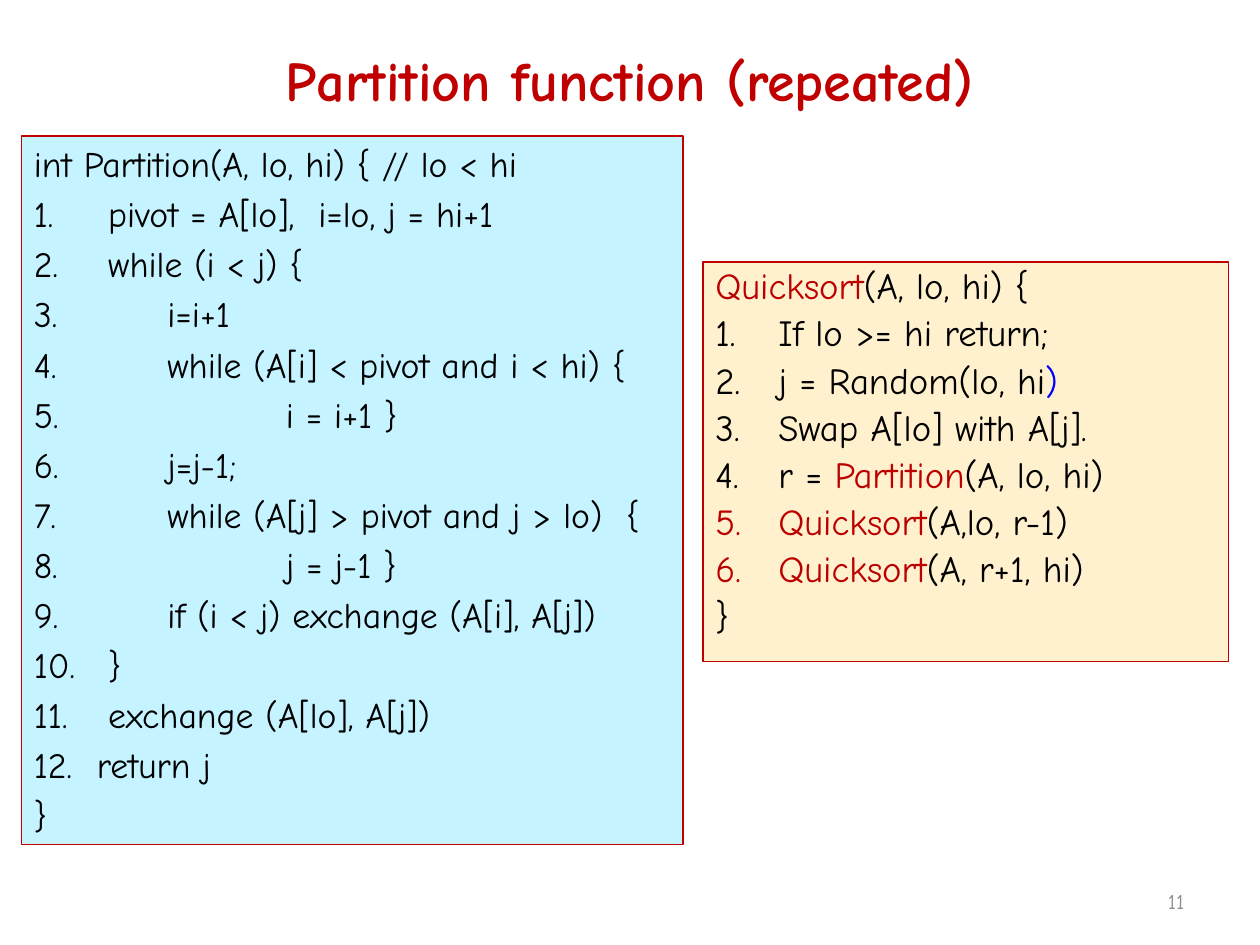
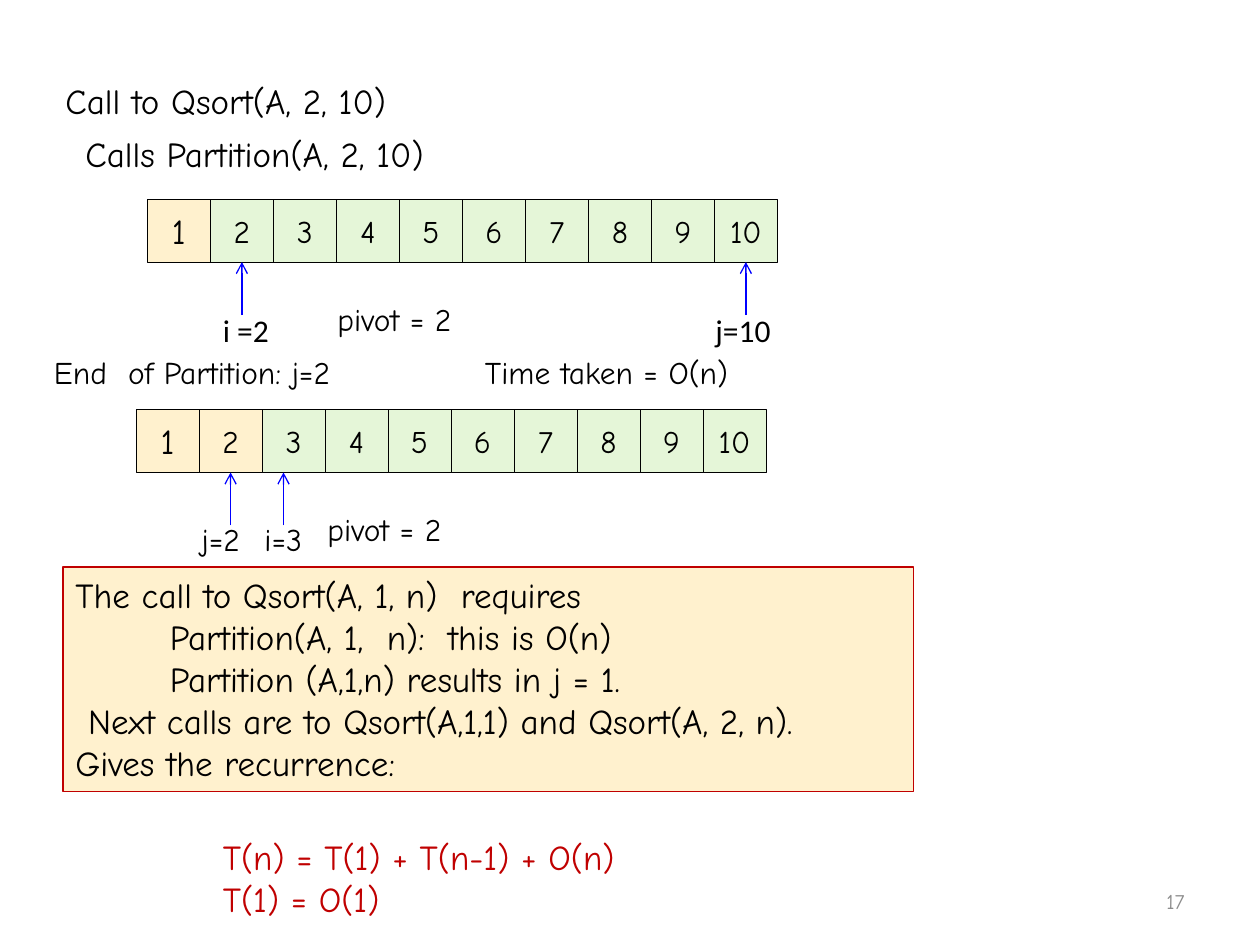
import pptx
import pptx.util
import pptx.dml.color
import pptx.enum.shapes
import pptx.enum.text
import pptx.oxml
import pptx.oxml.ns

Inches, Pt = pptx.util.Inches, pptx.util.Pt
RGB = pptx.dml.color.RGBColor
ALIGN, ANCHOR = pptx.enum.text.PP_ALIGN, pptx.enum.text.MSO_ANCHOR
RECT = pptx.enum.shapes.MSO_SHAPE.RECTANGLE
STRAIGHT = pptx.enum.shapes.MSO_CONNECTOR.STRAIGHT

BLACK, WHITE, GREY = RGB(0, 0, 0), RGB(255, 255, 255), RGB(0x8C, 0x8C, 0x8C)
RED, CALL_RED, BLUE = RGB(0xC0, 0, 0), RGB(0xBB, 0, 0), RGB(0, 0, 255)
SKY, CREAM, GREEN = RGB(0xC5, 0xF3, 0xFF), RGB(0xFF, 0xF1, 0xCE), RGB(0xE5, 0xF6, 0xD8)
FONT, LABEL_FONT = "Comic Neue", "Calibri"
CELL = 0.5  # side of an array cell, inches

# Code lines: (indent in inches, runs); a run is a text or (text, colour).
# The first and last lines carry no number.
TITLE = "Partition function (repeated)"
PARTITION = [
    (0, ["int Partition(A, lo, hi) { // lo < hi"]),
    (0.59, ["pivot = A[lo],  i=lo, j = hi+1"]),
    (0.59, ["while (i < j) {"]),
    (1.06, ["i=i+1"]),
    (1.06, ["while (A[i] < pivot and i < hi) {"]),
    (2, ["i = i+1 }"]),
    (1.06, ["j=j-1;"]),
    (1.06, ["while (A[j] > pivot and j > lo)  {"]),
    (2, ["j = j-1 }"]),
    (1.06, ["if (i < j) exchange (A[i], A[j])"]),
    (0.59, ["}"]),
    (0.59, ["exchange (A[lo], A[j])"]),
    (0.5, ["return j"]),
    (0, ["}"]),
]
QUICKSORT = [
    (0, [("Quicksort", CALL_RED), "(A, lo, hi) {"]),
    (0.5, ["If lo >= hi return;"]),
    (0.5, ["j = Random(lo, hi", (")", BLUE)]),
    (0.5, ["Swap A[lo] with A[j]."]),
    (0.5, ["r = ", ("Partition", CALL_RED), "(A, lo, hi)"]),
    (0.5, [("Quicksort", CALL_RED), "(A,lo, r-1)"]),
    (0.5, [("Quicksort", CALL_RED), "(A, r+1, hi)"]),
    (0, ["}"]),
]
SUMMARY = [
    (0, ["The call to Qsort(A, 1, n)  requires"]),
    (0.75, ["Partition(A, 1,  n):  this is O(n)"]),
    (0.75, ["Partition (A,1,n) results in j = 1."]),
    (0.1, ["Next calls are to Qsort(A,1,1) and Qsort(A, 2, n)."]),
    (0, ["Gives the recurrence:"]),
]
RECURRENCE = [(0, ["T(n) = T(1) + T(n-1) + O(n)"]), (0, ["T(1) = O(1)"])]

# Arrays: left, top, number of sorted cells, x of the arrows
ARRAYS = [(1.17, 1.58, 1, (1.92, 5.92)), (1.08, 3.25, 2, (1.83, 2.25))]
# Labels: text, left, top, width, size, font
LABELS = [
    ("Call to Qsort(A, 2, 10)", 0.42, 0.58, 3.12, 20, FONT),
    ("Calls Partition(A, 2, 10)", 0.58, 1, 3.23, 20, FONT),
    ("i =2", 1.67, 2.42, 0.63, 18, LABEL_FONT),
    ("j=10", 5.58, 2.42, 0.67, 18, LABEL_FONT),
    ("pivot = 2", 2.58, 2.33, 1.22, 18, FONT),
    ("End  of Partition: j=2", 0.33, 2.75, 2.76, 18, FONT),
    ("Time taken = O(n)", 3.75, 2.75, 2.38, 18, FONT),
    ("j=2", 1.5, 4.08, 0.55, 18, FONT),
    ("i=3", 2, 4.08, 0.55, 18, FONT),
    ("pivot = 2", 2.5, 4, 1.22, 18, FONT),
]


def set_all(obj, values):
    for name, value in values.items():
        setattr(obj, name, value)


def write(tf, lines, size, color=BLACK, font=FONT, numbered=False, **para):
    """Fill a text frame with (indent, runs) lines."""
    for n, (indent, runs) in enumerate(lines):
        p = tf.paragraphs[0] if n == 0 else tf.add_paragraph()
        set_all(p, {"alignment": ALIGN.LEFT, **para})
        if indent:
            pPr = p._p.get_or_add_pPr()
            pPr.set("marL", str(Inches(indent)))
            if numbered:
                pPr.set("indent", str(-Inches(indent)))
                bullet = pptx.oxml.parse_xml(
                    '<a:buAutoNum %s type="arabicPeriod"/>' % pptx.oxml.ns.nsdecls("a"))
                pPr.append(bullet)
        for run in runs:
            text, run_color = run if isinstance(run, tuple) else (run, color)
            r = p.add_run()
            r.text = text
            set_all(r.font, {"size": Pt(size), "name": font})
            r.font.color.rgb = run_color


def add_box(slide, at, fill, line, width, anchor=ANCHOR.TOP):
    sp = slide.shapes.add_shape(RECT, *map(Inches, at))
    sp.shadow.inherit = False
    sp.fill.solid()
    sp.fill.fore_color.rgb = fill
    sp.line.color.rgb = line
    sp.line.width = Pt(width)
    set_all(sp.text_frame, {"word_wrap": True, "vertical_anchor": anchor})
    return sp.text_frame


def add_text(slide, at, wrap=False, anchor=ANCHOR.TOP):
    tf = slide.shapes.add_textbox(*map(Inches, at)).text_frame
    set_all(tf, {"word_wrap": wrap, "vertical_anchor": anchor})
    return tf


def add_arrow(slide, x, top, length=0.42):
    """Draw an arrow that points up at (x, top)."""
    cx = slide.shapes.add_connector(
        STRAIGHT, *map(Inches, (x, top + length, x, top)))
    cx.line.color.rgb = BLUE
    cx.line.width = Pt(0.75)
    ns = pptx.oxml.ns.nsdecls("a")
    cx.line._get_or_add_ln().append(
        pptx.oxml.parse_xml('<a:tailEnd %s type="arrow"/>' % ns))
    cx._element.spPr.append(pptx.oxml.parse_xml("<a:effectLst %s/>" % ns))


def add_array(slide, left, top, done, arrows):
    for n in range(10):
        tf = add_box(slide, (left + n * CELL, top, CELL, CELL),
                     CREAM if n < done else GREEN, BLACK, 0.25, ANCHOR.MIDDLE)
        write(tf, [(0, [str(n + 1)])], 18 if n else 20, alignment=ALIGN.CENTER)
    for x in arrows:
        add_arrow(slide, x, top + CELL)


def add_slide(prs, layout, number):
    slide = prs.slides.add_slide(prs.slide_layouts[layout])
    slide.background.fill.solid()
    slide.background.fill.fore_color.rgb = WHITE
    tf = add_text(slide, (7.17, 6.95, 2.33, 0.4), True, ANCHOR.MIDDLE)
    write(tf, [(0, [str(number)])], 12, GREY, alignment=ALIGN.RIGHT)
    return slide


def build_code_slide(prs):
    slide = add_slide(prs, 5, 11)
    title = slide.shapes.title
    set_all(title, dict(zip(("left", "top", "width", "height"),
                            map(Inches, (0.5, 0, 9, 1.25)))))
    title.text_frame.vertical_anchor = ANCHOR.MIDDLE
    write(title.text_frame, [(0, [TITLE])], 32, RED, alignment=ALIGN.CENTER)
    title.text_frame.paragraphs[0].runs[0].font.bold = True

    tf = add_box(slide, (0.17, 1.08, 5.25, 5.62), SKY, RED, 0.75)
    write(tf, PARTITION, 20.4, numbered=True, space_before=Pt(4.08))
    tf = add_box(slide, (5.58, 2.08, 4.17, 3.17), CREAM, RED, 0.75)
    write(tf, QUICKSORT, 21, numbered=True, space_before=Pt(4.2), line_spacing=0.9)


def build_trace_slide(prs):
    slide = add_slide(prs, 6, 17)
    for array in ARRAYS:
        add_array(slide, *array)
    for text, left, top, width, size, font in LABELS:
        tf = add_text(slide, (left, top, width, 0.44 if size == 20 else 0.4))
        write(tf, [(0, [text])], size, font=font)
    write(add_box(slide, (0.5, 4.5, 6.75, 1.78), CREAM, RED, 0.75), SUMMARY, 20)
    write(add_text(slide, (1.67, 6.58, 3.56, 0.77)), RECURRENCE, 20, RED)


def main():
    prs = pptx.Presentation()
    set_all(prs, {"slide_width": Inches(10), "slide_height": Inches(7.5)})
    build_code_slide(prs)
    build_trace_slide(prs)
    prs.save("out.pptx")


if __name__ == "__main__":
    main()
